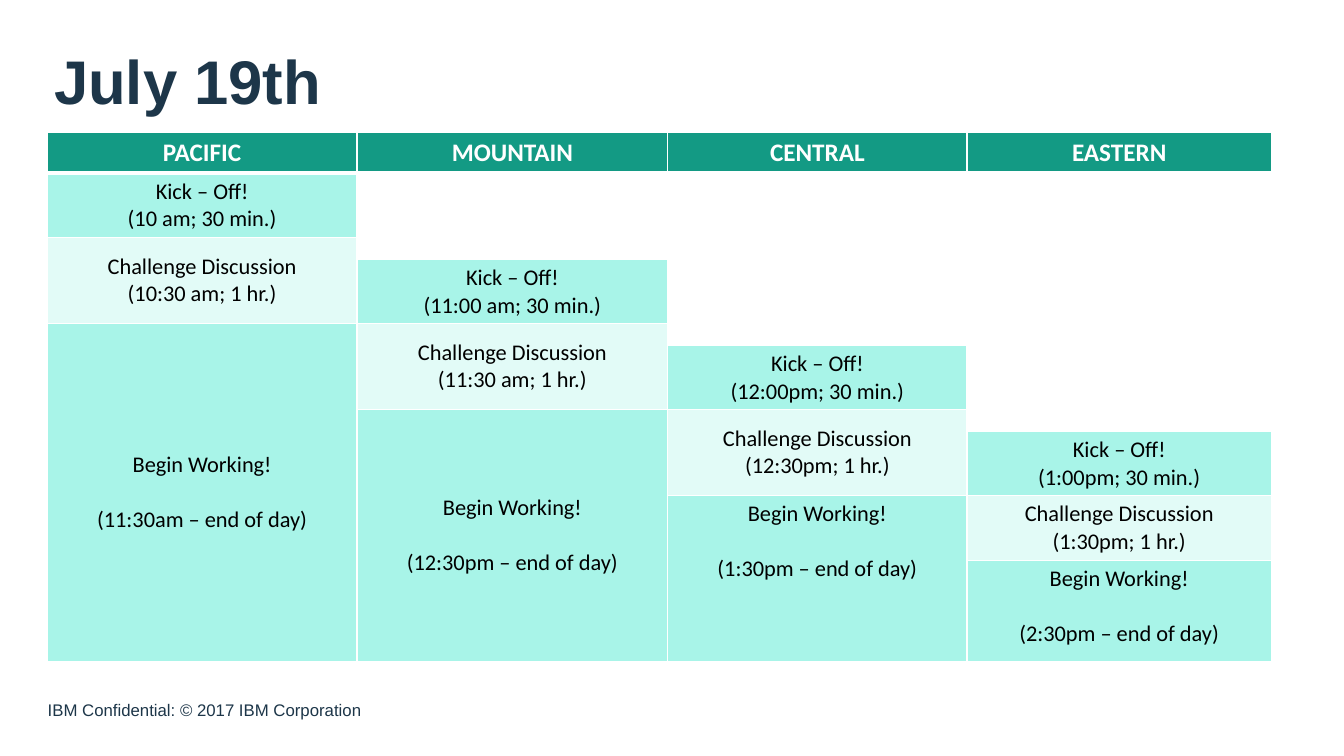
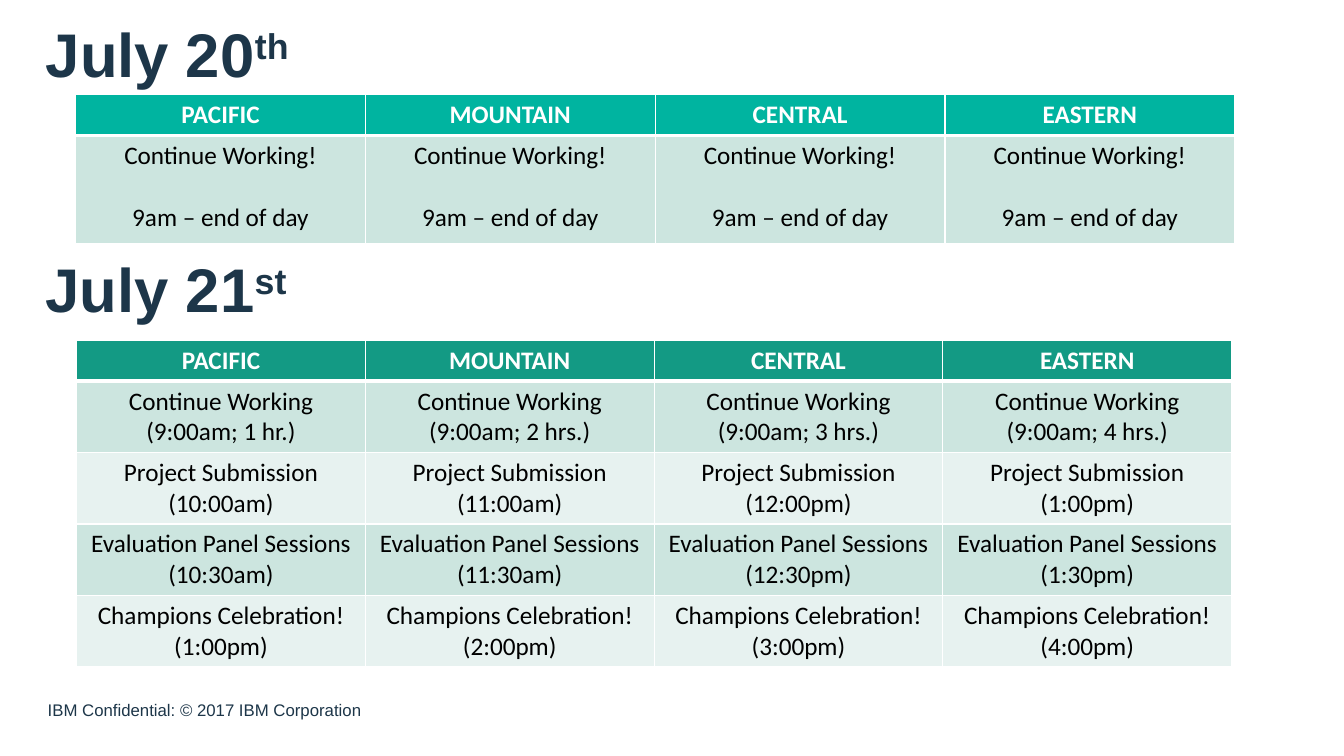
from lxml.etree import SubElement
from pptx import Presentation
from pptx.dml.color import RGBColor
from pptx.enum.text import MSO_ANCHOR as Anchor, MSO_AUTO_SIZE as AutoSize, PP_ALIGN as Align
from pptx.oxml.ns import qn
from pptx.util import Pt

SCALE = 9525
COLORS = {
    "navy": "1D3649", "white": "FFFFFF", "black": "000000",
    "green": "139A84", "teal": "00B4A0",
    "mint": "A8F4E8", "pale_mint": "E2FBF7",
    "sage": "CCE5DF", "pale_sage": "E7F2F0",
}
ZONES = ["PACIFIC", "MOUNTAIN", "CENTRAL", "EASTERN"]
FOOTER = "IBM Confidential: © 2017 IBM Corporation"


class Deck:
    """Holds the shared style and the slide being built."""

    def __init__(self):
        self.presentation = Presentation()
        self.presentation.slide_width = self.px(1280)
        self.presentation.slide_height = self.px(720)
        self.slide = None

    def px(self, length):
        return length * SCALE

    def color(self, name):
        return RGBColor.from_string(COLORS[name])

    def format_font(self, font, name, size, color, bold=False):
        font.name, font.size, font.bold = name, Pt(size), bold
        font.color.rgb = self.color(color)

    def text_box(self, left, top, width, height):
        return self.slide.shapes.add_textbox(*map(self.px, (left, top, width, height)))

    def add_slide(self, title, left, top, suffix=""):
        self.slide = self.presentation.slides.add_slide(self.presentation.slide_layouts[5])
        self.format_heading(self.slide.shapes.title, title, left, top, suffix)
        footer = self.text_box(36, 662, 340, 29)
        footer.text_frame.word_wrap = True
        footer.text_frame.text = FOOTER
        self.format_font(footer.text_frame.paragraphs[0].runs[0].font, "Arial", 12, "navy")

    def heading(self, text, left, top, suffix=""):
        self.format_heading(self.text_box(left, top, 1205, 86), text, left, top, suffix)

    def format_heading(self, shape, text, left, top, suffix):
        shape.left, shape.top = self.px(left), self.px(top)
        shape.width, shape.height = self.px(1205), self.px(86)
        frame = shape.text_frame
        frame.text = text
        frame.word_wrap = True
        frame.auto_size = AutoSize.NONE
        frame.vertical_anchor = Anchor.MIDDLE
        paragraph = frame.paragraphs[0]
        paragraph.alignment = Align.LEFT
        paragraph.line_spacing = 0.9
        if suffix:
            run = paragraph.add_run()
            run.text = suffix
            run.font._element.set("baseline", "30000")
        for run in paragraph.runs:
            self.format_font(run.font, "Arial", 44, "navy", bold=True)

    def table(self, left, top, widths, heights, header_color):
        bounds = map(self.px, (left, top, sum(widths), sum(heights)))
        table = self.slide.shapes.add_table(len(heights), len(widths), *bounds).table
        table.horz_banding = False
        for column, width in zip(table.columns, widths):
            column.width = self.px(width)
        for row, height in zip(table.rows, heights):
            row.height = self.px(height)
        for column, zone in enumerate(ZONES):
            self.cell(table, 0, column, zone, header_color, color="white", bold=True, bottom=3)
        return table

    def cell(self, table, row, column, text, fill, size=18, color="black", bold=False,
             bottom=1, span=1, anchor=Anchor.TOP, gap=0):
        for covered in range(row, row + span):
            part = table.cell(covered, column)
            self.borders(part, bottom)
            part.fill.solid()
            part.fill.fore_color.rgb = self.color(fill)
        cell = table.cell(row, column)
        if span > 1:
            cell.merge(table.cell(row + span - 1, column))
        cell.vertical_anchor = anchor
        cell.text_frame.text = text
        for index, paragraph in enumerate(cell.text_frame.paragraphs):
            paragraph.alignment = Align.CENTER
            if index and gap:
                paragraph.space_before = Pt(gap)
            self.format_font(paragraph.font, "Calibri", size, color, bold)
            for run in paragraph.runs:
                self.format_font(run.font, "Calibri", size, color, bold)

    def borders(self, cell, bottom):
        properties = cell._tc.get_or_add_tcPr()
        for side, width in (("L", 1), ("R", 1), ("T", 1), ("B", bottom)):
            line = SubElement(properties, qn(f"a:ln{side}"), w=str(Pt(width)))
            fill = SubElement(line, qn("a:solidFill"))
            SubElement(fill, qn("a:srgbClr"), val=COLORS["white"])


def build_kick_off_day(deck):
    deck.add_slide("July 19th", 42, 38)
    heights = [39] + [61, 21] * 3 + [61, 62, 96]
    table = deck.table(45, 126, [295, 296, 285, 290], heights, "green")
    times = [
        ("10 am; 30 min.", "10:30 am; 1 hr.", "11:30am"),
        ("11:00 am; 30 min.", "11:30 am; 1 hr.", "12:30pm"),
        ("12:00pm; 30 min.", "12:30pm; 1 hr.", "1:30pm"),
        ("1:00pm; 30 min.", "1:30pm; 1 hr.", "2:30pm"),
    ]
    last = len(heights) - 1
    for column, (kick_off, challenge, work) in enumerate(times):
        start = 1 + 2 * column
        work_row = min(start + 3, last)
        if column:
            deck.cell(table, 1, column, "", "white", size=16, span=start - 1)
        deck.cell(table, start, column, f"Kick – Off!\n({kick_off})", "mint", size=16)
        deck.cell(table, start + 1, column, f"Challenge Discussion\n({challenge})", "pale_mint",
                  size=16, span=work_row - start - 1, anchor=Anchor.MIDDLE)
        deck.cell(table, work_row, column, f"Begin Working!\n({work} – end of day)", "mint",
                  size=16, span=last - work_row + 1, gap=19.5,
                  anchor=Anchor.MIDDLE if column < 2 else Anchor.TOP)


def build_final_days(deck):
    deck.add_slide("July 20", 34, 12, "th")
    table = deck.table(72, 90, [276] * 4, [39, 103], "teal")
    for column in range(len(ZONES)):
        deck.cell(table, 1, column, "Continue Working!\n9am – end of day", "sage", gap=22)

    deck.heading("July 21", 34, 236, "st")
    table = deck.table(73, 324, [275] * 4, [39] + [68] * 4, "green")
    activities = [
        ("Continue Working", ["9:00am; 1 hr.", "9:00am; 2 hrs.", "9:00am; 3 hrs.", "9:00am; 4 hrs."]),
        ("Project Submission", ["10:00am", "11:00am", "12:00pm", "1:00pm"]),
        ("Evaluation Panel Sessions", ["10:30am", "11:30am", "12:30pm", "1:30pm"]),
        ("Champions Celebration!", ["1:00pm", "2:00pm", "3:00pm", "4:00pm"]),
    ]
    for row, (activity, times) in enumerate(activities, 1):
        fill = "sage" if row % 2 else "pale_sage"
        for column, time in enumerate(times):
            deck.cell(table, row, column, f"{activity}\n({time})", fill)


def main():
    deck = Deck()
    build_kick_off_day(deck)
    build_final_days(deck)
    deck.presentation.save("out.pptx")


if __name__ == "__main__":
    main()
